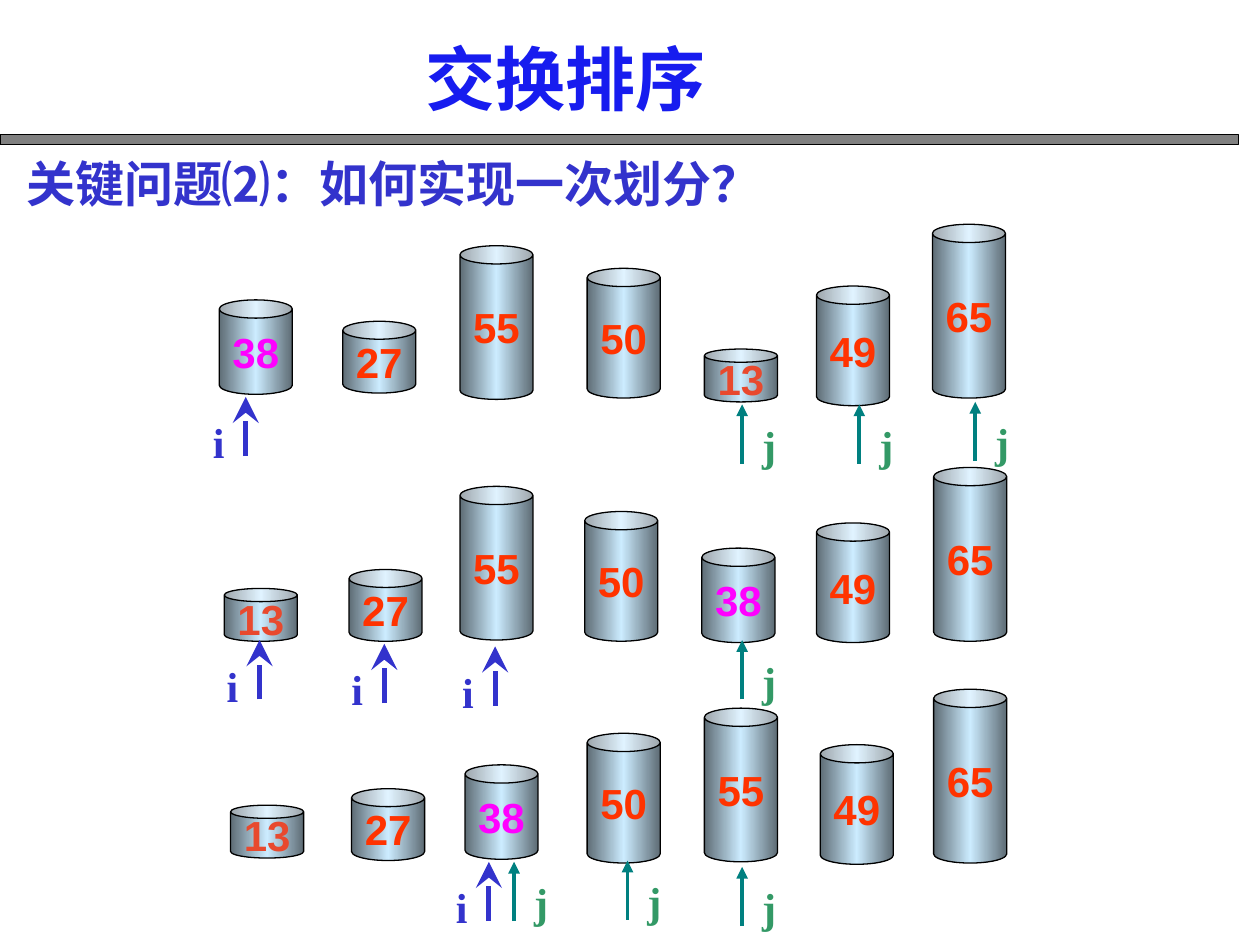
from dataclasses import dataclass

from pptx import Presentation
from pptx import util as u
from pptx.dml.color import RGBColor
from pptx.enum import shapes, text
from pptx.oxml import parse_xml
from pptx.oxml.ns import qn

NS = 'xmlns:a="http://schemas.openxmlformats.org/drawingml/2006/main"'
In = u.Inches


@dataclass(frozen=True)
class Theme:
    """Colours, fonts and type sizes of the slide."""
    title: str = "171CEF"
    head: str = "3333CC"
    bar: str = "808080"
    edge: str = "000000"
    dark: str = "5E6C75"
    light: str = "CCECFF"
    value: str = "FF3300"
    small: str = "E8492E"
    pivot: str = "FF00FF"
    label: str = "339966"
    arrow: str = "008080"
    sans: str = "Arial"
    serif: str = "Times New Roman"
    han: str = "Noto Sans CJK SC"
    big: int = 40
    mid: int = 28
    base: int = 24


T = Theme()
HEIGHTS = {13: 0.42, 27: 0.57, 38: 0.75, 49: 0.95, 50: 1.03, 55: 1.22, 65: 1.38}
TINTS = {13: T.small, 38: T.pivot}
WIDTH = 0.58
MARKS = {
    "i": dict(ink=T.head, line=T.head, weight=3, head="stealth", size="lg", dx=-0.36, dy=0.11),
    "j": dict(ink=T.label, line=T.arrow, weight=2.25, head="triangle", size="med", dx=0.06, dy=0.07),
}
LEFT = 1.5
ROWS = [
    (1.75,
     [(38, 0.24, 0.63), (27, 1.22, 0.8), (55, 2.15, 0.2), (50, 3.16, 0.38),
      (13, 4.09, 1.02), (49, 4.98, 0.52), (65, 5.9, 0.03)],
     [("i", 0.45, 1.4), ("j", 4.39, 1.46), ("j", 5.32, 1.46), ("j", 6.24, 1.44)]),
    (3.7,
     [(13, 0.28, 0.97), (27, 1.27, 0.82), (55, 2.15, 0.16), (50, 3.14, 0.36),
      (38, 4.07, 0.65), (49, 4.98, 0.45), (65, 5.91, 0.01)],
     [("i", 0.56, 1.38), ("i", 1.55, 1.41), ("i", 2.43, 1.43), ("j", 4.39, 1.38)]),
    (5.45,
     [(13, 0.33, 0.94), (27, 1.29, 0.81), (38, 2.19, 0.62), (50, 3.16, 0.37),
      (55, 4.09, 0.17), (49, 5.01, 0.46), (65, 5.91, 0.02)],
     [("i", 2.38, 1.39), ("j", 2.58, 1.39), ("j", 3.48, 1.38), ("j", 4.39, 1.43)]),
]


def style(font, name, size, color):
    """Set a bold font with the given face, size and colour."""
    font.name, font.size, font.bold = name, u.Pt(size), True
    font.color.rgb = RGBColor.from_string(color)


def write(para, words, name, size, color):
    """Add a run of Chinese text and return its properties element."""
    run = para.add_run()
    run.text = words
    style(run.font, name, size, color)
    props = run.font._element
    props.find(qn("a:latin")).addnext(parse_xml(f'<a:ea {NS} typeface="{T.han}"/>'))
    return props


def title(slide, x, y, w, h):
    """Place the title with its soft text shadow."""
    box = slide.shapes.title
    box.left, box.top, box.width, box.height = In(x), In(y), In(w), In(h)
    frame = box.text_frame
    frame.auto_size = text.MSO_AUTO_SIZE.NONE
    frame.vertical_anchor = text.MSO_ANCHOR.TOP
    para = frame.paragraphs[0]
    para.alignment, para.line_spacing = text.PP_ALIGN.LEFT, 0.9
    para.space_before = u.Pt(0)
    props = write(para, "交换排序", T.han, T.big, T.title)
    props.find(qn("a:latin")).addprevious(parse_xml(
        f'<a:effectLst {NS}><a:outerShdw dist="35921" dir="2700000">'
        f'<a:srgbClr val="{T.bar}"/></a:outerShdw></a:effectLst>'))


def bar(slide, x, y, w, h):
    """Draw the rule below the title."""
    rule = slide.shapes.add_shape(shapes.MSO_SHAPE.RECTANGLE, In(x), In(y), In(w), In(h))
    rule.shadow.inherit = False
    rule.fill.solid()
    rule.fill.fore_color.rgb = RGBColor.from_string(T.bar)
    outline(rule)


def outline(shape):
    """Give a shape its thin black edge."""
    shape.line.color.rgb = RGBColor.from_string(T.edge)
    shape.line.width = u.Pt(0.75)


def heading(slide, x, y, w, h):
    """Place the question that the rows answer."""
    frame = slide.shapes.add_textbox(In(x), In(y), In(w), In(h)).text_frame
    frame.word_wrap = True
    para = frame.paragraphs[0]
    para.line_spacing = 0.9
    write(para, "关键问题⑵：", T.han, T.mid, T.head)
    write(para, "如何实现一次划分？", T.sans, T.mid, T.head)


def can(slide, value, x, y):
    """Draw one cylinder whose height stands for its value."""
    shape = slide.shapes.add_shape(
        shapes.MSO_SHAPE.CAN, In(x), In(y), In(WIDTH), In(HEIGHTS[value]))
    shape.shadow.inherit = False
    outline(shape)
    stops = "".join(
        f'<a:gs pos="{pos}"><a:srgbClr val="{color}"/></a:gs>'
        for pos, color in ((0, T.dark), (50000, T.light), (100000, T.dark)))
    shape._element.spPr.find(qn("a:prstGeom")).addnext(parse_xml(
        f'<a:gradFill {NS} rotWithShape="1"><a:gsLst>{stops}</a:gsLst>'
        '<a:lin ang="10800000" scaled="1"/></a:gradFill>'))
    frame = shape.text_frame
    frame.word_wrap = False
    frame.vertical_anchor = text.MSO_ANCHOR.MIDDLE
    para = frame.paragraphs[0]
    para.text = str(value)
    para.alignment = text.PP_ALIGN.CENTER
    style(para.font, T.sans, T.base, TINTS.get(value, T.value))


def pointer(slide, name, x, y):
    """Draw an index arrow with its tip at x, y and its letter beside it."""
    mark = MARKS[name]
    group = slide.shapes.add_group_shape()
    line = group.shapes.add_connector(
        shapes.MSO_CONNECTOR.STRAIGHT, In(x), In(y + 0.47), In(x), In(y))
    line.line.color.rgb = RGBColor.from_string(mark["line"])
    line.line.width = u.Pt(mark["weight"])
    size = mark["size"]
    line.line._get_or_add_ln().append(parse_xml(
        f'<a:tailEnd {NS} type="{mark["head"]}" w="{size}" len="{size}"/>'))
    line._element.spPr.append(parse_xml(f"<a:effectLst {NS}/>"))
    frame = group.shapes.add_textbox(
        In(x + mark["dx"]), In(y + mark["dy"]), In(0.25), In(0.5)).text_frame
    frame.word_wrap = True
    para = frame.paragraphs[0]
    para.text = name
    style(para.font, T.serif, T.base, mark["ink"])


def row(slide, x, y, cans, marks):
    """Draw one state of the array with its index arrows."""
    for value, dx, dy in cans:
        can(slide, value, x + dx, y + dy)
    for name, dx, dy in marks:
        pointer(slide, name, x + dx, y + dy)


def main():
    """Build and save the slide."""
    deck = Presentation()
    deck.slide_width, deck.slide_height = In(10), In(7.5)
    slide = deck.slides.add_slide(deck.slide_layouts[5])
    bar(slide, 0, 1.07, 9.83, 0.08)
    title(slide, 3.28, 0.31, 3.17, 0.77)
    heading(slide, 0.11, 1.22, 8.28, 0.57)
    for top, cans, marks in ROWS:
        row(slide, LEFT, top, cans, marks)
    deck.save("out.pptx")


if __name__ == "__main__":
    main()
